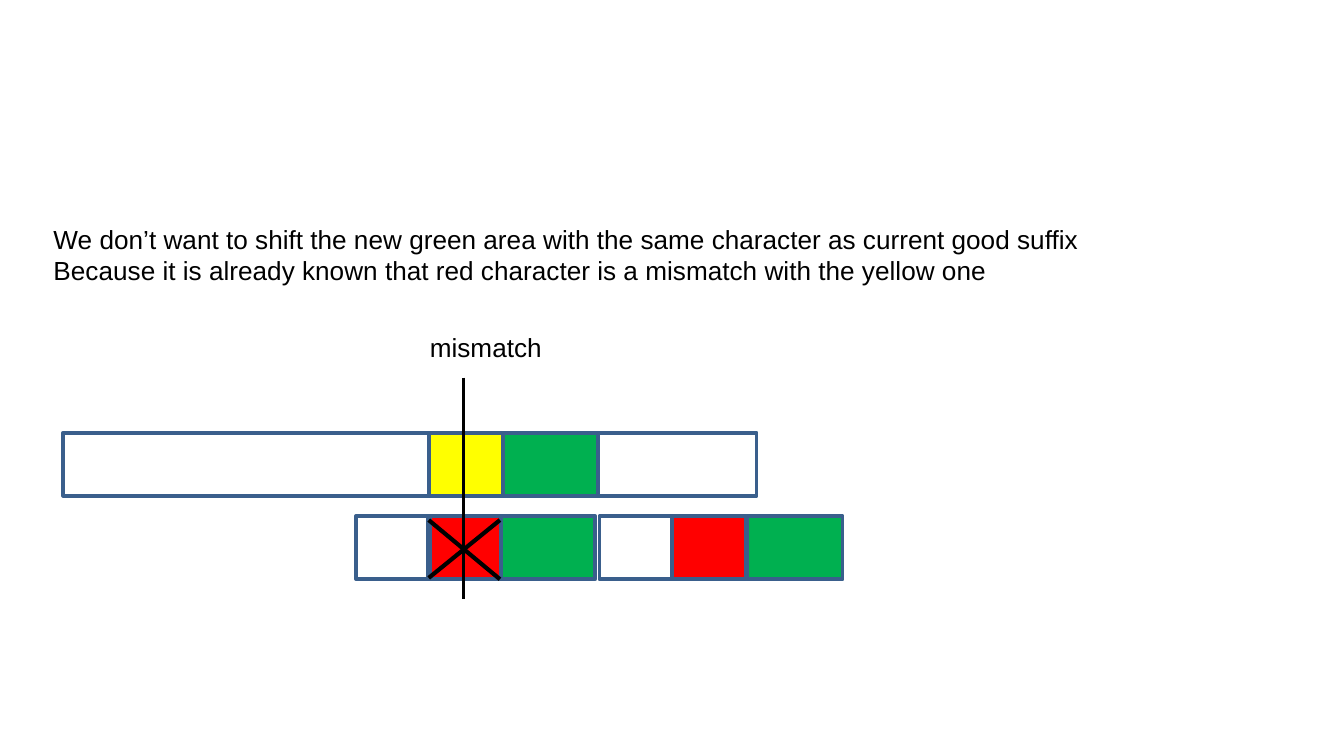
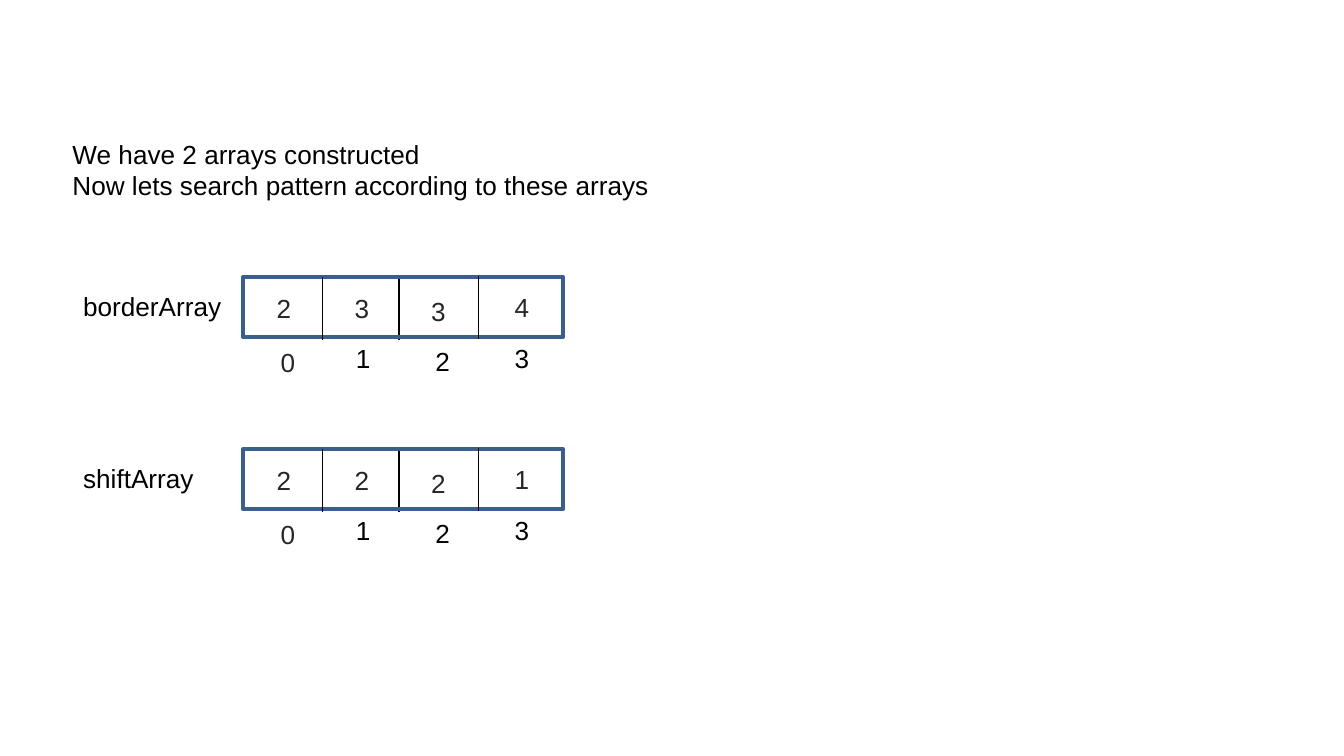
"""Build two slides on the good suffix rule: the shift of a pattern and its arrays."""
import dataclasses
import typing

import lxml.etree
import pptx
import pptx.dml.color
import pptx.enum.shapes
import pptx.enum.text
import pptx.oxml.ns
import pptx.slide
import pptx.util

SCALE = 9144
PAGE_WIDTH = 1000
BLACK = "000000"
CHARCOAL = "262626"
BORDER = "3A5F8C"
GREEN = "00B050"
YELLOW = "FFFF00"
RED = "FF0000"
FONT = "Arial"
LINE_HEIGHT = 23
SEGMENT_HEIGHT = 47
ARRAY_LEFT, ARRAY_WIDTH, ARRAY_HEIGHT = 181, 238, 45
DIGIT_WIDTH = 31


@dataclasses.dataclass(frozen=True)
class Segment:
    left: int
    top: int
    width: int
    height: int = SEGMENT_HEIGHT
    fill: typing.Optional[str] = None


@dataclasses.dataclass(frozen=True)
class Stroke:
    start: tuple[int, int]
    end: tuple[int, int]
    points: float


@dataclasses.dataclass(frozen=True)
class Array:
    name: str
    top: int
    label_width: int
    values: str


@dataclasses.dataclass(frozen=True)
class Cell:
    value_left: int
    value_drop: int
    index_left: int
    index_drop: int
    index_color: str = BLACK


TEXT_ROW = [
    Segment(47, 322, 272),
    Segment(319, 322, 55, fill=YELLOW),
    Segment(374, 322, 71, fill=GREEN),
    Segment(445, 322, 118),
]
PATTERN_SUFFIX = Segment(372, 384, 71, fill=GREEN)
PATTERN_START = [
    Segment(318, 384, 55, fill=RED),
    Segment(265, 384, 55),
]
PATTERN_END = [
    Segment(446, 384, 55),
    Segment(500, 384, 55, fill=RED),
    Segment(556, 384, 71, fill=GREEN),
]
CROSS = [
    Stroke((319, 430), (372, 387), 2.25),
    Stroke((319, 387), (372, 431), 2.25),
]
MISMATCH_LINE = Stroke((345, 281), (345, 446), 1.5)
ARRAYS = [
    Array("borderArray", 206, 123, "2334"),
    Array("shiftArray", 334, 103, "2221"),
]
CELLS = [
    Cell(196, 7, 199, 47, CHARCOAL),
    Cell(254, 7, 255, 44),
    Cell(311, 9, 314, 46),
    Cell(373, 6, 373, 44),
]


def px(length: int) -> pptx.util.Emu:
    return pptx.util.Emu(length * SCALE)


def color(code: str) -> pptx.dml.color.RGBColor:
    return pptx.dml.color.RGBColor.from_string(code)


def add_text(page: pptx.slide.Slide, text: str, *, left: int, top: int,
             width: int, ink: str = BLACK, size: int = 14) -> None:
    lines = text.split("\n")
    height = 11 + LINE_HEIGHT * len(lines)
    box = page.shapes.add_textbox(px(left), px(top), px(width), px(height))
    frame = box.text_frame
    frame.word_wrap = False
    frame.auto_size = pptx.enum.text.MSO_AUTO_SIZE.SHAPE_TO_FIT_TEXT
    for number, line in enumerate(lines):
        para = frame.add_paragraph() if number else frame.paragraphs[0]
        span = para.add_run()
        span.text = line
        span.font.name = FONT
        span.font.size = pptx.util.Pt(size)
        span.font.color.rgb = color(ink)


def add_segment(page: pptx.slide.Slide, segment: Segment) -> None:
    shape = page.shapes.add_shape(
        pptx.enum.shapes.MSO_SHAPE.RECTANGLE, px(segment.left), px(segment.top),
        px(segment.width), px(segment.height))
    shape.shadow.inherit = False
    if segment.fill:
        shape.fill.solid()
        shape.fill.fore_color.rgb = color(segment.fill)
    else:
        shape.fill.background()
    shape.line.color.rgb = color(BORDER)
    shape.line.width = pptx.util.Pt(2)


def add_stroke(page: pptx.slide.Slide, stroke: Stroke) -> None:
    connector = page.shapes.add_connector(
        pptx.enum.shapes.MSO_CONNECTOR.STRAIGHT,
        *map(px, stroke.start), *map(px, stroke.end))
    connector.line.color.rgb = color(BLACK)
    connector.line.width = pptx.util.Pt(stroke.points)
    lxml.etree.SubElement(connector._element.spPr, pptx.oxml.ns.qn("a:effectLst"))


def add_divider(page: pptx.slide.Slide, left: int, top: int) -> None:
    add_stroke(page, Stroke((left, top), (left, top + SEGMENT_HEIGHT), 0.75))


def add_array(page: pptx.slide.Slide, array: Array) -> None:
    add_divider(page, 297, array.top)
    add_segment(page, Segment(ARRAY_LEFT, array.top, ARRAY_WIDTH, ARRAY_HEIGHT))
    add_divider(page, 240, array.top)
    add_divider(page, 356, array.top - 1)
    add_text(page, array.name, left=52, top=array.top + 5, width=array.label_width)
    for index, (cell, value) in enumerate(zip(CELLS, array.values)):
        add_text(page, value, left=cell.value_left, top=array.top + cell.value_drop,
                 width=DIGIT_WIDTH, ink=CHARCOAL)
        add_text(page, str(index), left=cell.index_left,
                 top=array.top + cell.index_drop, width=DIGIT_WIDTH,
                 ink=cell.index_color)


def build_mismatch(page: pptx.slide.Slide) -> None:
    add_text(page, "We don’t want to shift the new green area with the same character "
             "as current good suffix\nBecause it is already known that red character "
             "is a mismatch with the yellow one", left=30, top=161, width=787)
    for segment in [PATTERN_SUFFIX, *TEXT_ROW, *PATTERN_START]:
        add_segment(page, segment)
    add_text(page, "mismatch", left=310, top=242, width=104)
    for stroke in CROSS:
        add_stroke(page, stroke)
    for segment in PATTERN_END:
        add_segment(page, segment)
    add_stroke(page, MISMATCH_LINE)


def build_arrays(page: pptx.slide.Slide) -> None:
    for array in ARRAYS:
        add_array(page, array)
    add_text(page, "We have 2 arrays constructed\n"
             "Now lets search pattern according to these arrays",
             left=44, top=98, width=451)


def main() -> None:
    deck = pptx.Presentation()
    deck.slide_width = px(PAGE_WIDTH)
    deck.slide_height = pptx.util.Emu(deck.slide_width * 9 // 16)
    for build in (build_mismatch, build_arrays):
        build(deck.slides.add_slide(deck.slide_layouts[6]))
    deck.save("out.pptx")


if __name__ == "__main__":
    main()
